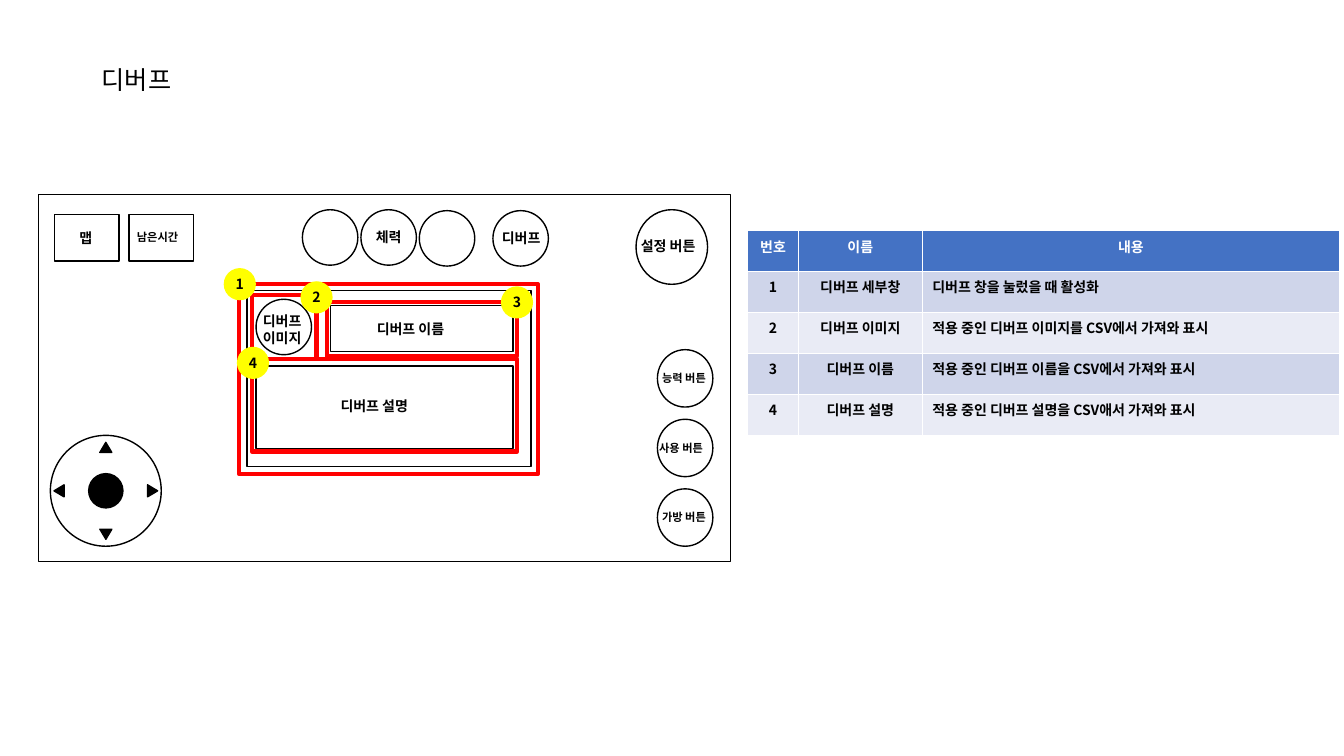
from dataclasses import dataclass

from pptx import Presentation
from pptx.dml.color import RGBColor
from pptx.enum.shapes import MSO_SHAPE
from pptx.enum.text import MSO_ANCHOR, MSO_AUTO_SIZE, PP_ALIGN
from pptx.oxml.ns import qn
from pptx.util import Pt

RECT, OVAL, TRIANGLE = MSO_SHAPE.RECTANGLE, MSO_SHAPE.OVAL, MSO_SHAPE.ISOSCELES_TRIANGLE
LEFT, CENTER = PP_ALIGN.LEFT, PP_ALIGN.CENTER
TOP, MIDDLE = MSO_ANCHOR.TOP, MSO_ANCHOR.MIDDLE
NO_FIT = MSO_AUTO_SIZE.NONE


@dataclass(frozen=True)
class Theme:
    """Colours, font and type sizes of the slide."""
    font: str = "Noto Sans CJK KR"
    ink: str = "000000"
    paper: str = "FFFFFF"
    mark: str = "FF0000"
    badge: str = "FFFF00"
    header: str = "4472C4"
    bands: tuple = ("CFD5EA", "E9EBF5")
    title: int = 18
    body: int = 10
    small: int = 8
    thin: int = 1
    thick: int = 3


def write(tf, text, *, font, size, color, bold=True, align=LEFT, anchor=TOP):
    """Fill a text frame, one paragraph per line of text."""
    tf.word_wrap = True
    tf.vertical_anchor = anchor
    for i, line in enumerate(text.split("\n")):
        p = tf.paragraphs[0] if i == 0 else tf.add_paragraph()
        p.alignment = align
        r = p.add_run()
        r.text = line
        r.font.name, r.font.size, r.font.bold = font, Pt(size), bold
        r.font.color.rgb = RGBColor.from_string(color)
        ea = r.font._element.makeelement(qn("a:ea"), {"typeface": font})
        r.font._element.find(qn("a:latin")).addnext(ea)


class Sketch:
    """Draws styled elements on the current slide."""

    def __init__(self, slide, theme):
        """Keep the slide and its theme."""
        self.s, self.t = slide, theme

    def title(self, text, x, y, w, h):
        """Place and format the title placeholder."""
        sp = self.s.shapes.title
        sp.left, sp.top, sp.width, sp.height = Pt(x), Pt(y), Pt(w), Pt(h)
        sp.text_frame.auto_size = NO_FIT
        write(sp.text_frame, text, font=self.t.font, size=self.t.title,
              color=self.t.ink, bold=False, anchor=MIDDLE)

    def shape(self, kind, x, y, w, h, line=None, width=None, fill=None, turn=0):
        """Add a preset shape; without a fill it is an outline."""
        sp = self.s.shapes.add_shape(kind, Pt(x), Pt(y), Pt(w), Pt(h))
        sp.shadow.inherit = False
        sp.rotation = turn
        if fill:
            sp.fill.solid()
            sp.fill.fore_color.rgb = RGBColor.from_string(fill)
        else:
            sp.fill.background()
        if line:
            sp.line.color.rgb = RGBColor.from_string(line)
            sp.line.width = Pt(width or self.t.thin)
        else:
            sp.line.fill.background()
        return sp

    def badge(self, number, x, y, size=23):
        """Add a numbered round badge."""
        sp = self.shape(OVAL, x, y, size, size, fill=self.t.badge)
        tf = sp.text_frame
        tf.margin_left = tf.margin_right = tf.margin_top = tf.margin_bottom = 0
        write(tf, str(number), font=self.t.font, size=self.t.body,
              color=self.t.ink, align=CENTER, anchor=MIDDLE)

    def label(self, text, x, y, w, h, size):
        """Add a bold text box."""
        sp = self.s.shapes.add_textbox(Pt(x), Pt(y), Pt(w), Pt(h))
        write(sp.text_frame, text, font=self.t.font, size=size, color=self.t.ink)

    def table(self, rows, x, y, widths, row_h):
        """Add a table with a header row and banded body rows."""
        frame = self.s.shapes.add_table(len(rows), len(widths), Pt(x), Pt(y),
                                        Pt(sum(widths)), Pt(row_h * len(rows)))
        for col, w in zip(frame.table.columns, widths):
            col.width = Pt(w)
        for i, row in enumerate(rows):
            fill = self.t.bands[(i - 1) % 2] if i else self.t.header
            for j, text in enumerate(row):
                cell = frame.table.cell(i, j)
                cell.fill.solid()
                cell.fill.fore_color.rgb = RGBColor.from_string(fill)
                write(cell.text_frame, text, font=self.t.font, size=self.t.body,
                      color=self.t.ink if i else self.t.paper,
                      align=LEFT if i and j == 2 else CENTER)


def draw_screen(d):
    """Draw the game screen frame and its controls."""
    ink = d.t.ink
    d.shape(RECT, 27.4, 139, 494.6, 262, ink)
    for x in (38.9, 92.2):  # map, time left
        d.shape(RECT, x, 153.4, 46.1, 33.1, ink)
    for x, y in ((216, 149.8), (257.8, 149.8), (299.5, 150.5), (352.1, 150.5)):
        d.shape(OVAL, x, y, 39.6, 39.6, ink)
    d.shape(OVAL, 454.3, 149.8, 51.1, 53.3, ink)
    for i in range(3):  # ability, use, bag
        d.shape(OVAL, 469.6, 249.8 + 49.7 * i, 39.6, 41, ink)


def draw_joystick(d, cx=75.6, cy=350.6, reach=33.4):
    """Draw the direction pad around its centre."""
    ink = d.t.ink
    for size, fill in ((79.2, None), (24.5, ink)):
        d.shape(OVAL, cx - size / 2, cy - size / 2, size, size, ink, fill=fill)
    w, h = 8.6, 7.2
    for turn, dx, dy in ((0, 0, -31), (90, reach, 0), (180, 0, 31), (270, -reach, 0)):
        d.shape(TRIANGLE, cx + dx - w / 2, cy + dy - h / 2, w, h, ink, fill=ink, turn=turn)


def draw_debuff_window(d):
    """Draw the debuff window, its marked areas and badges."""
    d.shape(RECT, 176.4, 207.4, 203, 126, d.t.ink)
    d.shape(OVAL, 182.9, 213.8, 39.6, 39.6, d.t.ink)
    d.shape(RECT, 236.2, 218.2, 130.3, 33.1, d.t.ink)
    d.shape(RECT, 182.9, 261.4, 183.6, 59, d.t.ink)
    areas = ((170.6, 203, 213.8, 135.4), (180, 211, 46.1, 45.4),
             (233.3, 216, 136.1, 38.2), (180, 256.3, 189.4, 66.2))
    for area in areas:
        d.shape(RECT, *area, d.t.mark, d.t.thick)
    corners = ((159.8, 191.5), (214.6, 200.9), (357.8, 204.5), (169.2, 247.7))
    for number, corner in enumerate(corners, 1):
        d.badge(number, *corner)


def draw_labels(d):
    """Write the names of the controls and window areas."""
    body, small = d.t.body, d.t.small
    for text, x, y, w, h, size in (
            ("맵", 49.7, 160.6, 30.2, 19.4, body),
            ("남은시간", 90.7, 161.3, 48.2, 17.3, small),
            ("체력", 261.4, 159.8, 36, 19.4, body),
            ("디버프", 351.4, 160.6, 45.4, 19.4, body),
            ("설정 버튼", 450.7, 166.3, 58.3, 19.4, body),
            ("디버프\n이미지", 180.7, 219.6, 44.6, 31.7, body),
            ("디버프 이름", 262.1, 225.4, 74.2, 19.4, body),
            ("디버프 설명", 236.2, 280.1, 74.2, 19.4, body),
            ("능력 버튼", 465.8, 261.4, 51.8, 17.3, small),
            ("사용 버튼", 463.7, 311.8, 51.8, 17.3, small),
            ("가방 버튼", 465.8, 360.7, 51.8, 17.3, small)):
        d.label(text, x, y, w, h, size)


ROWS = (
    ("번호", "이름", "내용"),
    ("1", "디버프 세부창", "디버프 창을 눌렀을 때 활성화"),
    ("2", "디버프 이미지", "적용 중인 디버프 이미지를 CSV에서 가져와 표시"),
    ("3", "디버프 이름", "적용 중인 디버프 이름을 CSV에서 가져와 표시"),
    ("4", "디버프 설명", "적용 중인 디버프 설명을 CSV애서 가져와 표시"),
)


def main():
    """Build the slide and save it."""
    prs = Presentation()
    prs.slide_width, prs.slide_height = Pt(960), Pt(540)
    d = Sketch(prs.slides.add_slide(prs.slide_layouts[5]), Theme())
    d.title("디버프", 65.5, 42.5, 275.8, 28.8)
    draw_screen(d)
    draw_joystick(d)
    draw_debuff_window(d)
    draw_labels(d)
    d.table(ROWS, 534.2, 164.9, (36, 88.6, 298), 29.2)
    prs.save("out.pptx")


main()
